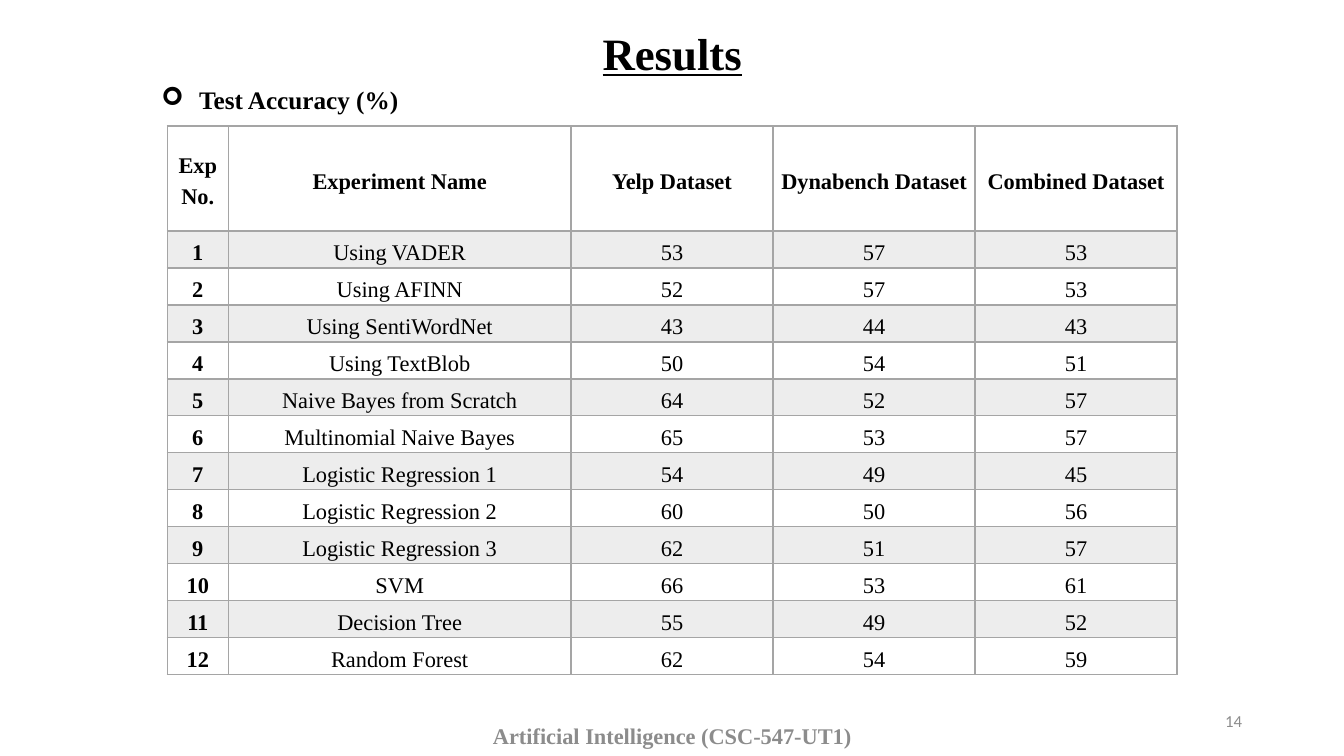
from lxml import etree
from pptx import Presentation
from pptx.dml.color import RGBColor
from pptx.enum.text import MSO_ANCHOR, MSO_AUTO_SIZE, PP_ALIGN
from pptx.oxml.ns import qn
from pptx.util import Pt

CENTER, RIGHT, JUSTIFY = PP_ALIGN.CENTER, PP_ALIGN.RIGHT, PP_ALIGN.JUSTIFY
TOP, MIDDLE = MSO_ANCHOR.TOP, MSO_ANCHOR.MIDDLE
NO_AUTOSIZE = MSO_AUTO_SIZE.NONE

SERIF, SANS = "Times New Roman", "Calibri"
BLACK, GREY, RULE, BAND = "000000", "8C8C8C", "A5A5A5", "EDEDED"

HEADERS = ["Exp No.", "Experiment Name", "Yelp Dataset", "Dynabench Dataset", "Combined Dataset"]
EXPERIMENTS = [
    ("Using VADER", 53, 57, 53),
    ("Using AFINN", 52, 57, 53),
    ("Using SentiWordNet", 43, 44, 43),
    ("Using TextBlob", 50, 54, 51),
    ("Naive Bayes from Scratch", 64, 52, 57),
    ("Multinomial Naive Bayes", 65, 53, 57),
    ("Logistic Regression 1", 54, 49, 45),
    ("Logistic Regression 2", 60, 50, 56),
    ("Logistic Regression 3", 62, 51, 57),
    ("SVM", 66, 53, 61),
    ("Decision Tree", 55, 49, 52),
    ("Random Forest", 62, 54, 59),
]
COLUMN_WIDTHS = [43.6, 244.8, 144.3, 144.3, 144.3]
HEADER_HEIGHT, ROW_HEIGHT = 75, 26.43


def color(value):
    return RGBColor.from_string(value)


def write(para, text, size, align, ink=BLACK, bold=True, font=SERIF):
    para.alignment = align
    span = para.add_run()
    span.text = text
    span.font.name, span.font.size, span.font.bold = font, Pt(size), bold
    span.font.color.rgb = color(ink)
    return span


def add_title(page, left, top, width, height):
    title = page.shapes.title
    title.left, title.top, title.width, title.height = Pt(left), Pt(top), Pt(width), Pt(height)
    frame = title.text_frame
    frame.auto_size, frame.vertical_anchor = NO_AUTOSIZE, TOP
    para = frame.paragraphs[0]
    para.line_spacing, para.space_before = 1.0, Pt(0)
    write(para, "Results", 32, CENTER).font.underline = True


def add_label(page, left, top, width, height, anchor):
    box = page.shapes.add_textbox(Pt(left), Pt(top), Pt(width), Pt(height))
    frame = box.text_frame
    frame.word_wrap, frame.vertical_anchor = True, anchor
    return frame.paragraphs[0]


def add_subheading(page, left, top, width, height):
    para = add_label(page, left, top, width, height, TOP)
    properties = para._p.get_or_add_pPr()
    properties.set("marL", str(Pt(49.5)))
    properties.set("indent", str(Pt(-27)))
    etree.SubElement(properties, qn("a:buFont"), typeface="Wingdings")
    etree.SubElement(properties, qn("a:buChar"), char="➢")
    para.space_after = Pt(1)
    write(para, "Test Accuracy (%)", 18, JUSTIFY)


def set_borders(cell, top_width, bottom_width):
    properties = cell._tc.get_or_add_tcPr()
    for side, width in (("L", 1), ("R", 1), ("T", top_width), ("B", bottom_width)):
        line = etree.SubElement(properties, qn(f"a:ln{side}"), w=str(Pt(width)))
        fill = etree.SubElement(line, qn("a:solidFill"))
        etree.SubElement(fill, qn("a:srgbClr"), val=RULE)


def fill_cell(cell, text, row, column):
    # The rule under the header is twice as thick as the others
    set_borders(cell, 2 if row == 1 else 1, 2 if row == 0 else 1)
    if row % 2:
        cell.fill.solid()
        cell.fill.fore_color.rgb = color(BAND)
    else:
        cell.fill.background()
    cell.margin_left = cell.margin_right = Pt(5)
    cell.margin_top = cell.margin_bottom = Pt(0)
    cell.vertical_anchor = MIDDLE
    para = cell.text_frame.paragraphs[0]
    para.line_spacing, para.space_after = 1.26, Pt(0.8)
    write(para, text, 16, CENTER, bold=row == 0 or column == 0)


def add_results_table(page, left, top):
    rows = [HEADERS] + [(number, *result) for number, result in enumerate(EXPERIMENTS, 1)]
    heights = [HEADER_HEIGHT] + [ROW_HEIGHT] * len(EXPERIMENTS)
    frame = page.shapes.add_table(len(rows), len(HEADERS), Pt(left), Pt(top),
                                  Pt(sum(COLUMN_WIDTHS)), Pt(sum(heights)))
    table = frame.table
    table.first_row = table.horz_banding = False
    for column, width in zip(table.columns, COLUMN_WIDTHS):
        column.width = Pt(width)
    for row, (values, height) in enumerate(zip(rows, heights)):
        table.rows[row].height = Pt(height)
        for column, value in enumerate(values):
            fill_cell(table.cell(row, column), str(value), row, column)


def add_footer(page, left, top, width, height):
    # Page number, slightly above the course name
    number = add_label(page, left + 675.4, top - 10.8, 216, height, MIDDLE)
    write(number, "14", 12, RIGHT, GREY, False, SANS)
    course = add_label(page, left, top, width, height, MIDDLE)
    write(course, "Artificial Intelligence (CSC-547-UT1)", 16, CENTER, GREY)


def main():
    deck = Presentation()
    deck.slide_width, deck.slide_height = Pt(960), Pt(540)
    page = deck.slides.add_slide(deck.slide_layouts[5])
    add_title(page, 2.9, 14.4, 954.7, 46)
    add_subheading(page, 85.7, 56.9, 480, 29)
    add_results_table(page, 119.5, 90)
    add_footer(page, 2.9, 511.2, 954.7, 28.8)
    deck.save("out.pptx")


if __name__ == "__main__":
    main()
